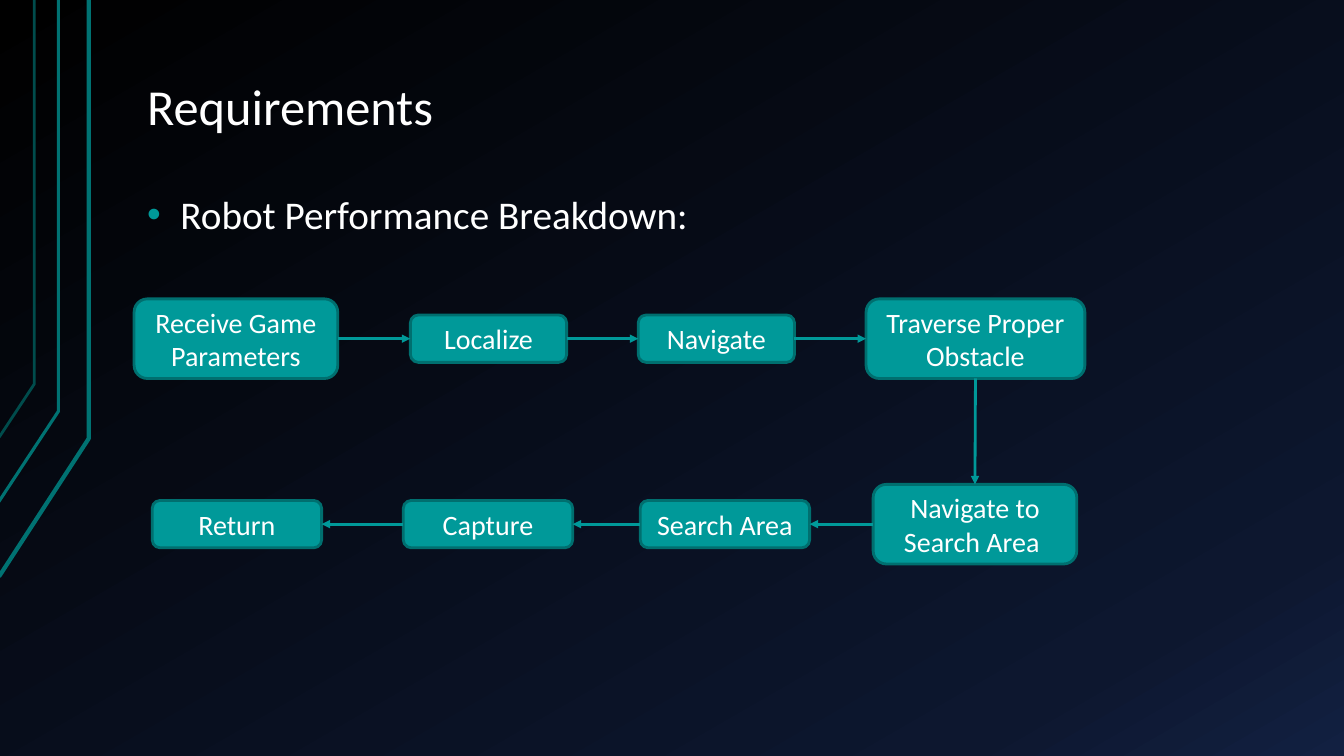
from copy import deepcopy
from itertools import pairwise

from pptx import Presentation
from pptx.dml.color import RGBColor
from pptx.enum.shapes import MSO_CONNECTOR, MSO_SHAPE
from pptx.enum.text import MSO_ANCHOR, MSO_AUTO_SIZE, PP_ALIGN
from pptx.oxml.ns import qn
from pptx.util import Inches, Pt
from lxml import etree

STEP_SHAPE = MSO_SHAPE.FLOWCHART_ALTERNATE_PROCESS
STRAIGHT = MSO_CONNECTOR.STRAIGHT
LEFT, CENTER = PP_ALIGN.LEFT, PP_ALIGN.CENTER
TOP, MIDDLE, BOTTOM = MSO_ANCHOR.TOP, MSO_ANCHOR.MIDDLE, MSO_ANCHOR.BOTTOM
NO_AUTOFIT = MSO_AUTO_SIZE.NONE
LEFT_SIDE, BOTTOM_SIDE, RIGHT_SIDE, TOP_SIDE = 1, 2, 3, 0

FONT = "Calibri"
COLORS = {
    "text": "FFFFFF",
    "teal": "009999",
    "step_edge": "006F6F",
    "trace": "007272",
    "faint_trace": "004C4C",
}
GRADIENT = [(0, "000000"), (0.85, "0D172F"), (1, "122041")]
TRACES = [
    ([(-0.01, 5.72), (0.88, 4.35), (0.88, 0)], "trace", 3),
    ([(-0.02, 4.99), (0.58, 4.08), (0.58, 0)], "trace", 2.25),
    ([(-0.01, 4.34), (0.34, 3.81), (0.34, 0)], "faint_trace", 2),
]
OUTBOUND_MIDDLE, RETURN_MIDDLE = 3.36, 5.2
TALL, SHORT = 0.79, 0.47
OUTBOUND_STEPS = [
    ("Receive Game Parameters", 1.33, 2.02, TALL),
    ("Localize", 4.07, 1.55, SHORT),
    ("Navigate", 6.33, 1.55, SHORT),
    ("Traverse Proper Obstacle", 8.59, 2.17, TALL),
]
RETURN_STEPS = [
    ("Navigate to Search Area ", 8.66, 2.02, TALL),
    ("Search Area", 6.35, 1.68, SHORT),
    ("Capture", 4, 1.68, SHORT),
    ("Return", 1.51, 1.68, SHORT),
]


def rgb(name):
    """Return the named palette colour."""
    return RGBColor.from_string(COLORS[name])


def set_attributes(target, values):
    """Set each attribute of target from a dict."""
    for attribute, value in values.items():
        setattr(target, attribute, value)


def style_line(shape, color, width):
    """Give a shape or connector a solid line."""
    shape.line.color.rgb = rgb(color)
    shape.line.width = Pt(width)


def write_text(shape, text, size, align, anchor, insets, spacing=1):
    """Write one formatted paragraph and return it."""
    frame = shape.text_frame
    side, edge = map(Inches, insets)
    set_attributes(frame, {
        "text": text, "word_wrap": True, "auto_size": NO_AUTOFIT,
        "vertical_anchor": anchor, "margin_left": side, "margin_right": side,
        "margin_top": edge, "margin_bottom": edge,
    })
    paragraph = frame.paragraphs[0]
    set_attributes(paragraph, {
        "alignment": align, "line_spacing": spacing, "space_before": Pt(0),
    })
    font = paragraph.runs[0].font
    set_attributes(font, {"name": FONT, "size": Pt(size)})
    font.color.rgb = rgb("text")
    return paragraph


def fill_placeholder(placeholder, box, text, size, anchor):
    """Place a template placeholder and write its text."""
    for side, length in zip(("left", "top", "width", "height"), box):
        setattr(placeholder, side, Inches(length))
    return write_text(placeholder, text, size, LEFT, anchor, (0.13, 0.07), 0.9)


def add_bullet(paragraph):
    """Give a paragraph a teal bullet with a hanging indent."""
    properties = paragraph._p.get_or_add_pPr()
    properties.set("marL", str(Inches(0.33)))
    properties.set("indent", str(-Inches(0.33)))
    bullet_color = etree.SubElement(properties, qn("a:buClr"))
    etree.SubElement(bullet_color, qn("a:srgbClr"), val=COLORS["teal"])
    etree.SubElement(properties, qn("a:buChar"), char="•")


def paint_background(slide):
    """Fill the background with the three-stop gradient."""
    fill = slide.background.fill
    fill.gradient()
    fill.gradient_angle = 300
    stop_list = slide.element.find(".//" + qn("a:gsLst"))
    stop_list.append(deepcopy(stop_list[-1]))
    for stop, (position, color) in zip(fill.gradient_stops, GRADIENT):
        stop.position = position
        stop.color.rgb = RGBColor.from_string(color)


def add_trace(slide, points, color, width):
    """Draw one open circuit trace."""
    start, *rest = [(Inches(x), Inches(y)) for x, y in points]
    builder = slide.shapes.build_freeform(*start)
    builder.add_line_segments(rest, close=False)
    trace = builder.convert_to_shape()
    trace.shadow.inherit = False
    trace.fill.background()
    style_line(trace, color, width)


def add_step(slide, middle, text, left, width, height):
    """Add one process step centred on its row."""
    step = slide.shapes.add_shape(
        STEP_SHAPE, Inches(left), Inches(middle - height / 2),
        Inches(width), Inches(height))
    step.shadow.inherit = False
    step.fill.solid()
    step.fill.fore_color.rgb = rgb("teal")
    style_line(step, "step_edge", 2)
    write_text(step, text, 20, CENTER, MIDDLE, (0.1, 0.05))
    return step


def add_arrow(slide, source, source_side, target, target_side):
    """Join two steps with an arrow."""
    arrow = slide.shapes.add_connector(STRAIGHT, 0, 0, 0, 0)
    arrow.begin_connect(source, source_side)
    arrow.end_connect(target, target_side)
    style_line(arrow, "teal", 2)
    properties = arrow._element.spPr
    etree.SubElement(properties.find(qn("a:ln")), qn("a:tailEnd"), type="triangle")
    etree.SubElement(properties, qn("a:effectLst"))


def main():
    """Build and save the requirements slide."""
    deck = Presentation()
    deck.slide_width, deck.slide_height = Inches(13.33), Inches(7.5)
    slide = deck.slides.add_slide(deck.slide_layouts[1])
    paint_background(slide)
    for trace in TRACES:
        add_trace(slide, *trace)

    fill_placeholder(slide.shapes.title, (1.33, 0.08, 11.33, 1.34),
                     "Requirements", 36, BOTTOM)
    add_bullet(fill_placeholder(slide.placeholders[1], (1.33, 1.87, 11.24, 4.72),
                                "Robot Performance Breakdown:", 28, TOP))

    outbound = [add_step(slide, OUTBOUND_MIDDLE, *step) for step in OUTBOUND_STEPS]
    returning = [add_step(slide, RETURN_MIDDLE, *step) for step in RETURN_STEPS]
    for source, target in pairwise(outbound):
        add_arrow(slide, source, RIGHT_SIDE, target, LEFT_SIDE)
    add_arrow(slide, outbound[-1], BOTTOM_SIDE, returning[0], TOP_SIDE)
    for source, target in pairwise(returning):
        add_arrow(slide, source, LEFT_SIDE, target, RIGHT_SIDE)
    deck.save("out.pptx")


if __name__ == "__main__":
    main()
